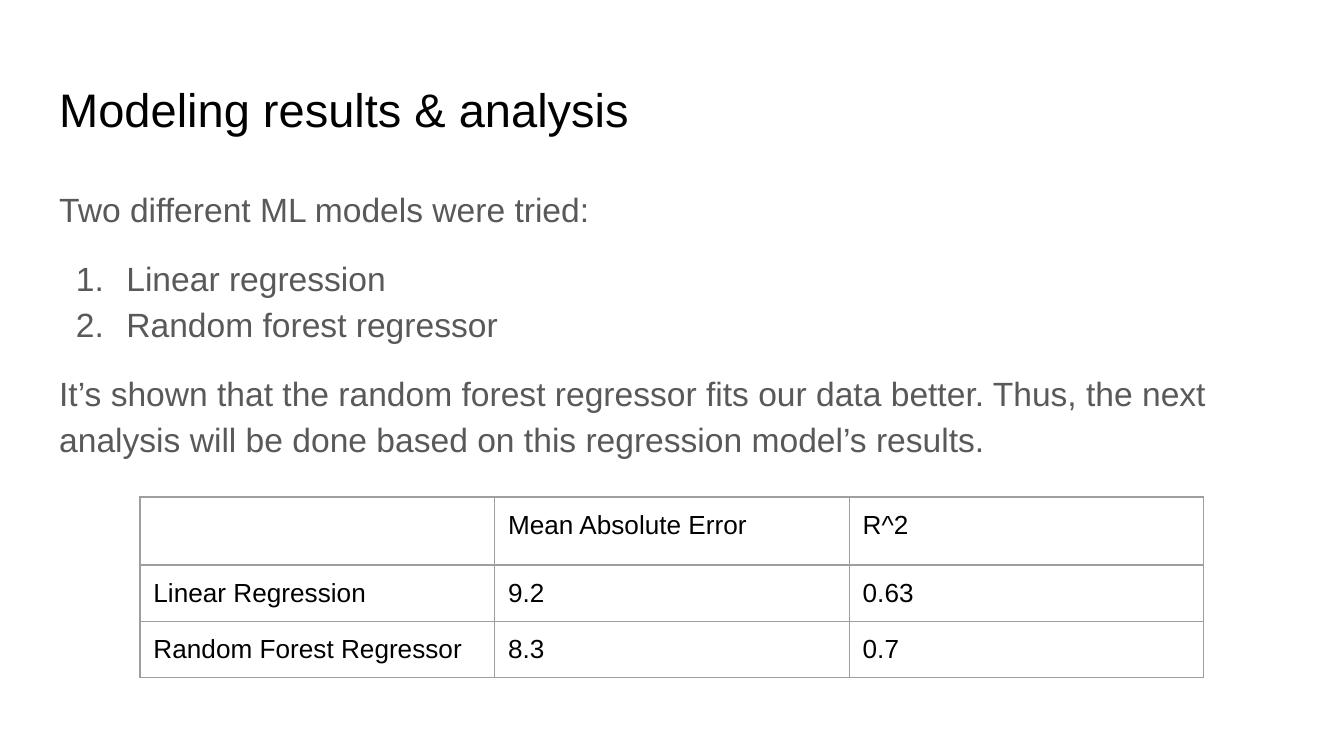
"""Build the slide on modeling results and analysis."""
from lxml.etree import SubElement
from pptx import Presentation
from pptx.dml.color import RGBColor
from pptx.enum.text import MSO_ANCHOR as Anchor, MSO_AUTO_SIZE as AutoSize, PP_ALIGN as Align
from pptx.oxml.ns import qn
from pptx.util import Pt

COLORS = {"title": "000000", "body": "595959", "cell": "000000", "border": "9E9E9E"}
INSET = Pt(7.2)


class ResultsSlide:
    def __init__(self, deck, font="Arial"):
        self.font = font
        self.slide = deck.slides.add_slide(deck.slide_layouts[1])

    def style(self, paragraph, size, color):
        for run in paragraph.runs:
            run.font.name = self.font
            run.font.size = Pt(size)
            run.font.color.rgb = RGBColor.from_string(COLORS[color])

    def place(self, holder, top, height, anchor):
        holder.left, holder.top = Pt(24.5), Pt(top)
        holder.width, holder.height = Pt(671), Pt(height)
        frame = holder.text_frame
        frame.margin_left = frame.margin_right = INSET
        frame.margin_top = frame.margin_bottom = INSET
        frame.word_wrap = True
        frame.auto_size = AutoSize.NONE
        frame.vertical_anchor = anchor
        return frame

    def title(self, text):
        frame = self.place(self.slide.shapes.title, 35, 45.5, Anchor.BOTTOM)
        frame.text = text
        heading = frame.paragraphs[0]
        heading.alignment = Align.LEFT
        self.style(heading, 25.2, "title")

    def body(self, lines):
        frame = self.place(self.slide.placeholders[1], 90.75, 269, Anchor.TOP)
        frame.text = "\n".join(text for text, *_ in lines)
        for paragraph, (_, numbered, before, after) in zip(frame.paragraphs, lines):
            paragraph.line_spacing = 1.15
            paragraph.space_before, paragraph.space_after = Pt(before), Pt(after)
            self.number(paragraph, numbered)
            self.style(paragraph, 18, "body")

    def number(self, paragraph, numbered):
        props = paragraph._p.get_or_add_pPr()
        props.set("marL", str(Pt(36 if numbered else 0)))
        props.set("indent", str(Pt(-27 if numbered else 0)))
        if numbered:
            tint = SubElement(props, qn("a:buClr"))
            SubElement(tint, qn("a:srgbClr"), val=COLORS["body"])
            SubElement(props, qn("a:buFont"), typeface=self.font)
            SubElement(props, qn("a:buAutoNum"), type="arabicPeriod")
        else:
            SubElement(props, qn("a:buNone"))

    def table(self, rows, left, top, column_width, heights):
        table = self.slide.shapes.add_table(
            len(rows), len(rows[0]), Pt(left), Pt(top),
            Pt(column_width * len(rows[0])), Pt(sum(heights))).table
        table.first_row = table.horz_banding = False
        for column in table.columns:
            column.width = Pt(column_width)
        for row, height, texts in zip(table.rows, heights, rows):
            row.height = Pt(height)
            for cell, text in zip(row.cells, texts):
                self.cell(cell, text)

    def cell(self, cell, text):
        cell.text = text
        cell.margin_left = cell.margin_right = INSET
        cell.margin_top = cell.margin_bottom = INSET
        self.style(cell.text_frame.paragraphs[0], 14, "cell")
        props = cell._tc.get_or_add_tcPr()
        for side in ("lnL", "lnR", "lnT", "lnB"):
            line = SubElement(props, qn(f"a:{side}"), w=str(Pt(0.75)))
            fill = SubElement(line, qn("a:solidFill"))
            SubElement(fill, qn("a:srgbClr"), val=COLORS["border"])
        cell.fill.background()


def main():
    deck = Presentation()
    deck.slide_width, deck.slide_height = Pt(720), Pt(405)
    results = ResultsSlide(deck)
    results.title("Modeling results & analysis")
    results.body([
        ("Two different ML models were tried:", False, 0, 0),
        ("Linear regression", True, 12, 0),
        ("Random forest regressor", True, 0, 0),
        ("It’s shown that the random forest regressor fits our data better. Thus, the next "
         "analysis will be done based on this regression model’s results.", False, 12, 12),
    ])
    results.table([
        ("", "Mean Absolute Error", "R^2"),
        ("Linear Regression", "9.2", "0.63"),
        ("Random Forest Regressor", "8.3", "0.7"),
    ], left=75, top=266.25, column_width=190, heights=(34.5, 30, 30))
    deck.save("out.pptx")


if __name__ == "__main__":
    main()
